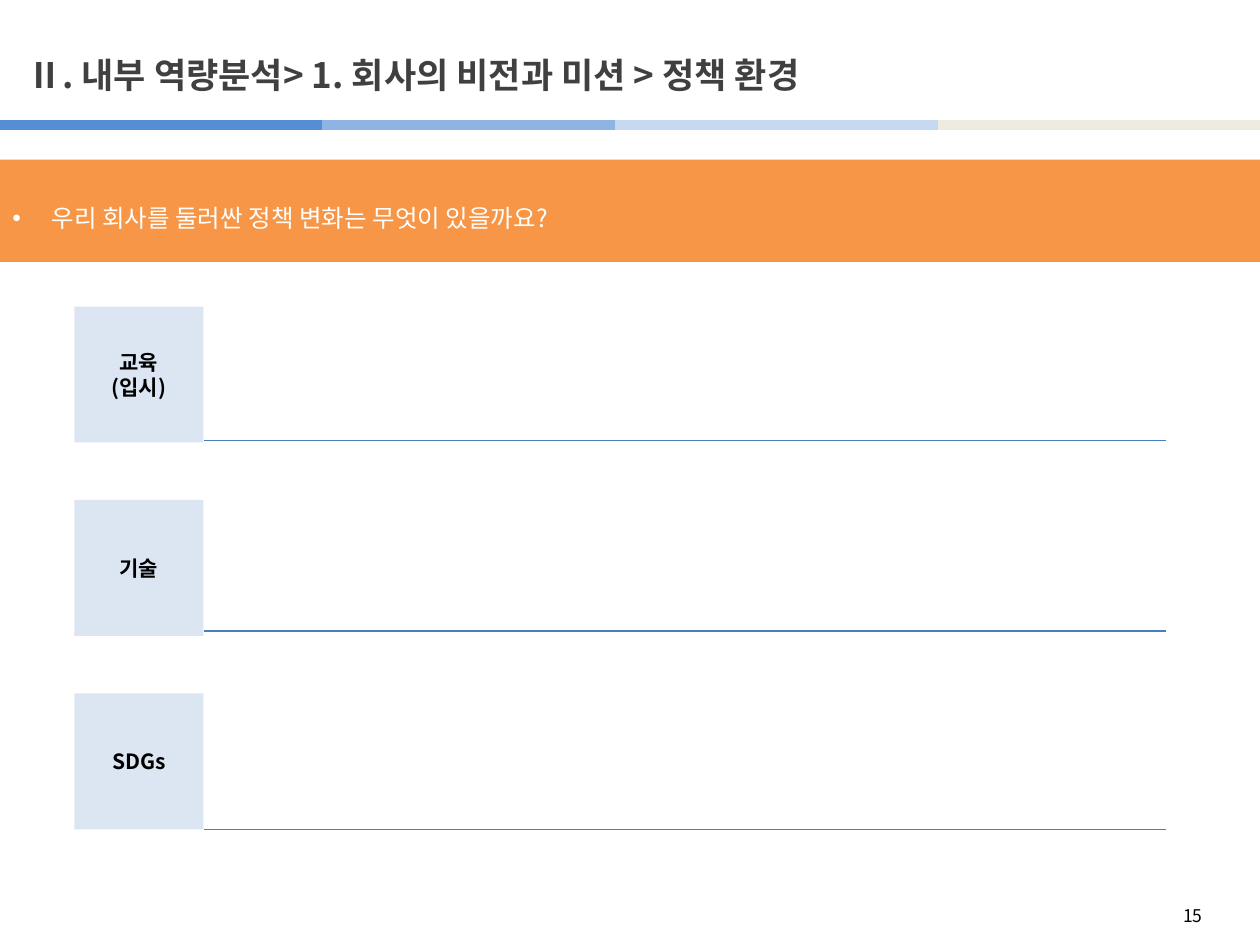
from lxml.etree import SubElement
from pptx import Presentation
from pptx.dml.color import RGBColor
from pptx.enum.shapes import MSO_CONNECTOR as Connector, MSO_SHAPE as Shape
from pptx.enum.text import MSO_ANCHOR as Anchor, PP_ALIGN as Align
from pptx.oxml.ns import qn
from pptx.util import Cm, Pt

FONT = "Noto Sans CJK KR"
WIDTH, HEIGHT = 25.4, 19.05
COLORS = {
    "title": "404040", "text": "000000", "light": "FFFFFF",
    "banner": "F79646", "label": "DCE6F2", "rule": "4B7EBC",
    "bar1": "558ED5", "bar2": "8EB4E3", "bar3": "C6D9F1", "bar4": "EEECE1",
}


def color(name):
    """Return the named colour of the palette."""
    return RGBColor.from_string(COLORS[name])


def write(shape, text, size, tone, bold=False, align=Align.LEFT):
    """Write one paragraph into a shape and return it."""
    frame = shape.text_frame
    frame.word_wrap = True
    frame.vertical_anchor = Anchor.MIDDLE
    para = frame.paragraphs[0]
    para.text = text
    para.alignment = align
    for span in para.runs:
        font = span.font
        font.name, font.size, font.bold = FONT, Pt(size), bold
        font.color.rgb = color(tone)
        SubElement(font._element, qn("a:ea"), typeface=FONT)
    return para


def add_text(page, left, top, width, height, *content, **style):
    """Add a text box."""
    box = page.shapes.add_textbox(Cm(left), Cm(top), Cm(width), Cm(height))
    write(box, *content, **style)


def add_block(page, left, top, width, height, fill):
    """Add a plain filled rectangle."""
    block = page.shapes.add_shape(Shape.RECTANGLE, Cm(left), Cm(top), Cm(width), Cm(height))
    block.shadow.inherit = False
    block.fill.solid()
    block.fill.fore_color.rgb = color(fill)
    block.line.fill.background()
    return block


def add_rule(page, left, right, y, tone, weight):
    """Add a horizontal line without shadow."""
    rule = page.shapes.add_connector(Connector.STRAIGHT, Cm(left), Cm(y), Cm(right), Cm(y))
    rule.line.color.rgb = color(tone)
    rule.line.width = Pt(weight)
    SubElement(rule._element.spPr, qn("a:effectLst"))


def add_header(page, left, top, width):
    """Place the title above a line of four coloured bars."""
    stops = [0, 6.5, 12.4, 18.9, width]
    for number, (start, end) in enumerate(zip(stops, stops[1:]), 1):
        add_rule(page, left + start, left + end, top + 2.52, f"bar{number}", 6)
    add_text(page, left + 0.3, top + 0.74, 18.6, 1.52,
             "Ⅱ. 내부 역량분석> 1. 회사의 비전과 미션 > 정책 환경", 20, "title", bold=True)


def add_banner(page, left, top, width, height):
    """Place the guiding question as a bullet on a full-width band."""
    band = add_block(page, left, top, width, height, "banner")
    para = write(band, "우리 회사를 둘러싼 정책 변화는 무엇이 있을까요?", 14, "light")
    para.line_spacing = 1.5
    properties = para._p.get_or_add_pPr()
    properties.set("marL", str(Cm(0.79)))
    properties.set("indent", str(-Cm(0.79)))
    SubElement(properties, qn("a:buFont"), typeface="Arial")
    SubElement(properties, qn("a:buChar"), char="•")


def add_topic(page, left, top, width, label, drop):
    """Place a topic label with a writing line to its right."""
    block = add_block(page, left, top, 2.6, 2.74, "label")
    write(block, label, 12, "text", bold=True, align=Align.CENTER)
    add_rule(page, left + 2.62, left + width, top + drop, "rule", 0.75)


def main():
    """Build the slide and save the deck."""
    deck = Presentation()
    deck.slide_width, deck.slide_height = Cm(WIDTH), Cm(HEIGHT)
    page = deck.slides.add_slide(deck.slide_layouts[6])
    add_header(page, 0, 0, WIDTH)
    add_banner(page, 0, 3.22, WIDTH, 2.06)
    topics = [("교육\v(입시)", 2.7), ("기술", 2.64), ("SDGs", 2.74)]
    for row, (label, drop) in enumerate(topics):
        add_topic(page, 1.5, 6.18 + 3.9 * row, 22, label, drop)
    add_text(page, 18.57, 18.1, 5.92, 0.7, "15", 10, "text", align=Align.RIGHT)
    deck.save("out.pptx")


if __name__ == "__main__":
    main()
